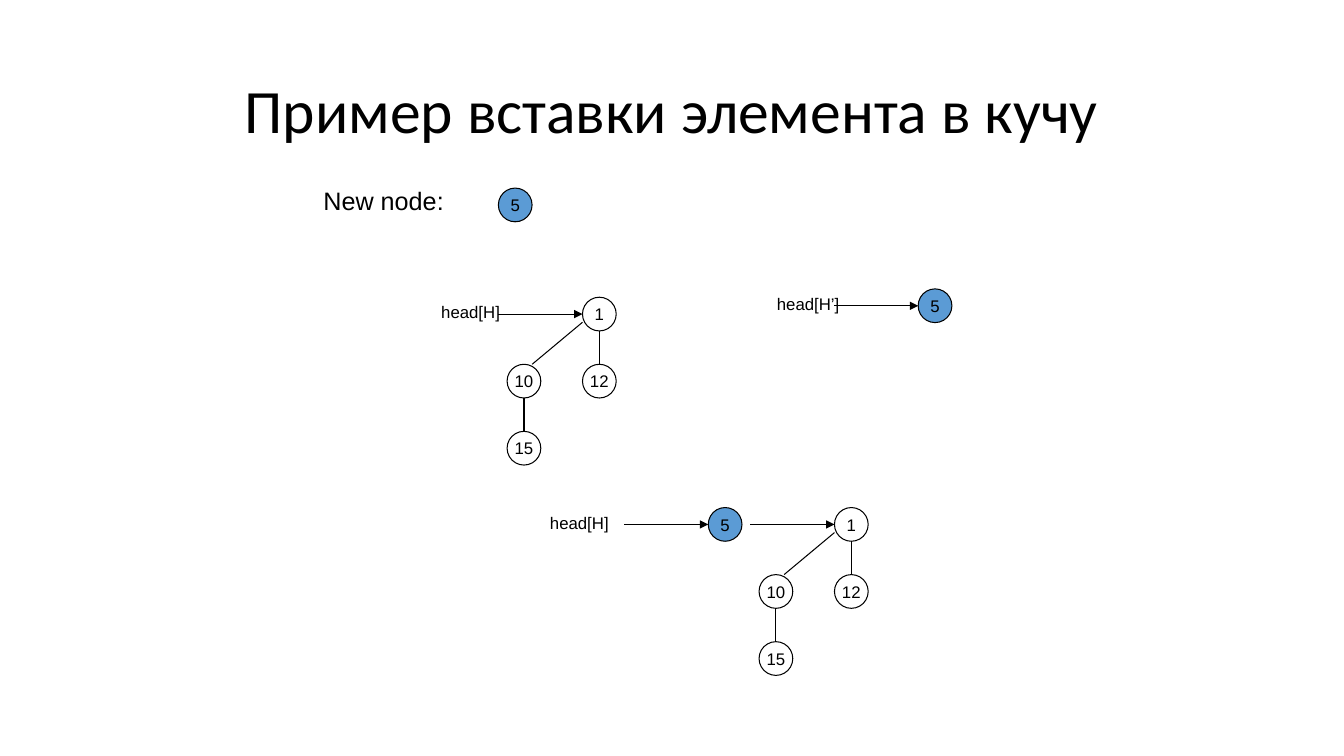
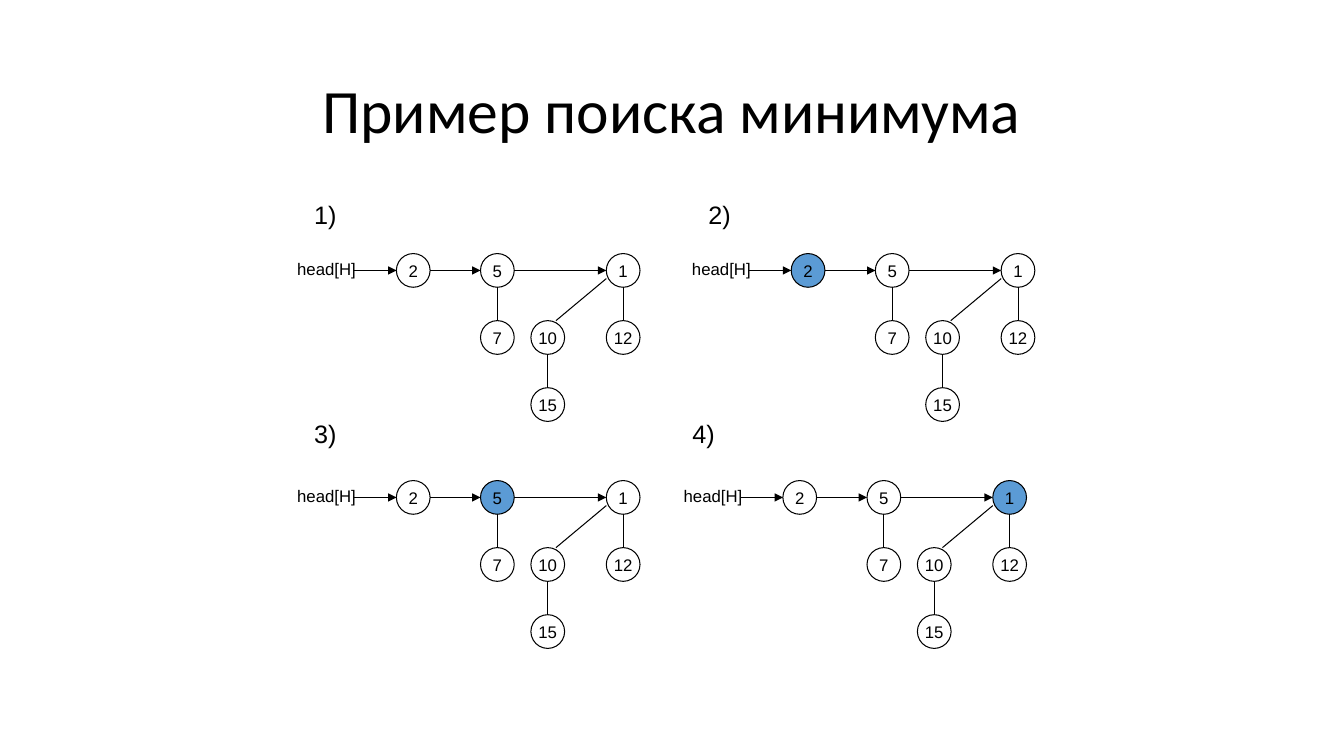
from dataclasses import dataclass

from lxml import etree
from pptx import Presentation
from pptx import util as u
from pptx.dml.color import RGBColor
from pptx.enum import shapes, text
from pptx.oxml.ns import qn


@dataclass(frozen=True)
class Theme:
    ink: RGBColor = RGBColor(0x00, 0x00, 0x00)
    accent: RGBColor = RGBColor(0x5B, 0x9B, 0xD5)
    title_font: str = "Calibri"
    body_font: str = "Arial"
    title_size: int = 44
    note_size: int = 18
    node_size: int = 12
    line_width: float = 0.75


theme = Theme()
D = 0.85       # node diameter, cm
R = D / 2
LEVEL = 1.69   # distance between tree levels
BRANCH = 1.9   # shift of the left subtree


def write(sp, words, size, font=theme.body_font, align=text.PP_ALIGN.LEFT,
          anchor=text.MSO_ANCHOR.TOP, wrap=True):
    tf = sp.text_frame
    tf.word_wrap = wrap
    tf.vertical_anchor = anchor
    p = tf.paragraphs[0]
    p.alignment = align
    r = p.add_run()
    r.text = words
    r.font.size = u.Pt(size)
    r.font.name = font
    r.font.color.rgb = theme.ink
    return p


def link(s, x1, y1, x2, y2, arrow=False):
    c = s.shapes.add_connector(shapes.MSO_CONNECTOR.STRAIGHT,
                               u.Cm(x1), u.Cm(y1), u.Cm(x2), u.Cm(y2))
    c.line.color.rgb = theme.ink
    c.line.width = u.Pt(theme.line_width)
    if arrow:
        etree.SubElement(c.line._get_or_add_ln(), qn("a:tailEnd"), type="triangle")
    etree.SubElement(c._element.spPr, qn("a:effectLst"))


prs = Presentation()
prs.slide_width, prs.slide_height = u.Cm(33.87), u.Cm(19.05)

# Slides and titles
slides = []
for title in ("Пример вставки элемента в кучу", "Пример поиска минимума"):
    s = prs.slides.add_slide(prs.slide_layouts[6])
    sp = s.shapes.add_textbox(u.Cm(2.33), u.Cm(1.01), u.Cm(29.21), u.Cm(3.68))
    p = write(sp, title, theme.title_size, theme.title_font,
              text.PP_ALIGN.CENTER, text.MSO_ANCHOR.MIDDLE)
    p.line_spacing = 0.9
    slides.append(s)
insertion, search = slides

# Insertion: new node, two heaps, merged heap
# trees: slide, root left, root top, root is filled
trees = [(insertion, 14.68, 7.49, False), (insertion, 21.03, 12.79, False)]
# nodes: slide, left, top, key, filled
nodes = [(insertion, x, y, "5", True)
         for x, y in ((12.56, 4.74), (23.14, 7.28), (17.85, 12.79))]
# heads: slide, left, top, words
heads = [(insertion, 10.87, 7.49, "head[H]"),
         (insertion, 19.33, 7.28, "head[H’]"),
         (insertion, 13.61, 12.79, "head[H]")]
# arrows: slide, start, end, height
arrows = [(insertion, 12.56, 14.68, 7.49 + R),
          (insertion, 21.03, 23.14, 7.28 + R),
          (insertion, 15.73, 17.85, 12.79 + R),
          (insertion, 18.91, 21.03, 12.79 + R)]
# notes: slide, left, top, width, words
notes = [(insertion, 7.9, 4.55, 3.6, "New node:")]

# Search: the same root list four times, with the current root filled
panels = [("1)", 7.24, 6.39, 7.67, 4.9, None),
          ("2)", 17.19, 6.39, 17.6, 4.9, "2"),
          ("3)", 7.24, 12.11, 7.67, 10.41, "5"),
          ("4)", 16.98, 12.11, 17.2, 10.41, "1")]
for number, x, y, note_x, note_y, current in panels:
    notes.append((search, note_x, note_y, 1.47, number))
    heads.append((search, x, y, "head[H]"))
    two, five, one = x + 2.75, x + 4.87, x + 8.04
    nodes += [(search, two, y, "2", current == "2"),
              (search, five, y, "5", current == "5"),
              (search, five, y + LEVEL, "7", False)]
    trees.append((search, one, y, current == "1"))
    arrows += [(search, start, end, y + R) for start, end in
               ((x + 1.69, two), (two + D, five), (five + D, one))]
    link(search, five + R, y + D, five + R, y + LEVEL)

# Trees with root 1
for s, x, y, filled in trees:
    left = x - BRANCH
    nodes += [(s, x, y, "1", filled),
              (s, x, y + LEVEL, "12", False),
              (s, left, y + LEVEL, "10", False),
              (s, left, y + 2 * LEVEL, "15", False)]
    link(s, x + R, y + D, x + R, y + LEVEL)
    link(s, left + R, y + LEVEL + D, left + R, y + 2 * LEVEL)
    link(s, left + 0.63, y + LEVEL, x, y + 0.63)

# Nodes
for s, x, y, key, filled in nodes:
    sp = s.shapes.add_shape(shapes.MSO_SHAPE.OVAL, u.Cm(x), u.Cm(y), u.Cm(D), u.Cm(D))
    sp.shadow.inherit = False
    sp.line.color.rgb = theme.ink
    sp.line.width = u.Pt(theme.line_width)
    if filled:
        sp.fill.solid()
        sp.fill.fore_color.rgb = theme.accent
    else:
        sp.fill.background()
    write(sp, key, theme.node_size, align=text.PP_ALIGN.CENTER,
          anchor=text.MSO_ANCHOR.MIDDLE, wrap=False)

# Arrows
for s, start, end, y in arrows:
    link(s, start, y, end, y, arrow=True)

# Labels
for s, x, y, words in heads:
    sp = s.shapes.add_textbox(u.Cm(x), u.Cm(y), u.Cm(2.12), u.Cm(0.76))
    write(sp, words, theme.node_size)
for s, x, y, width, words in notes:
    sp = s.shapes.add_textbox(u.Cm(x), u.Cm(y), u.Cm(width), u.Cm(1.02))
    write(sp, words, theme.note_size)

prs.save("out.pptx")
